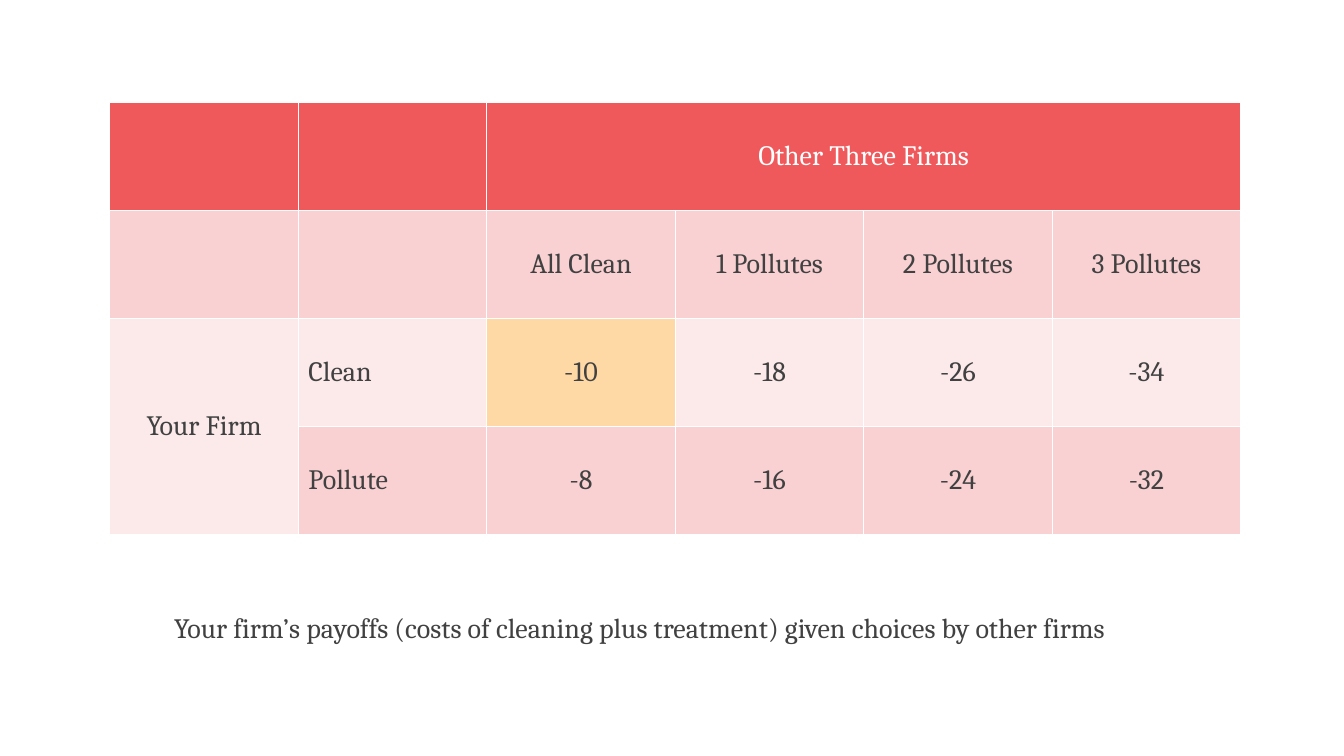
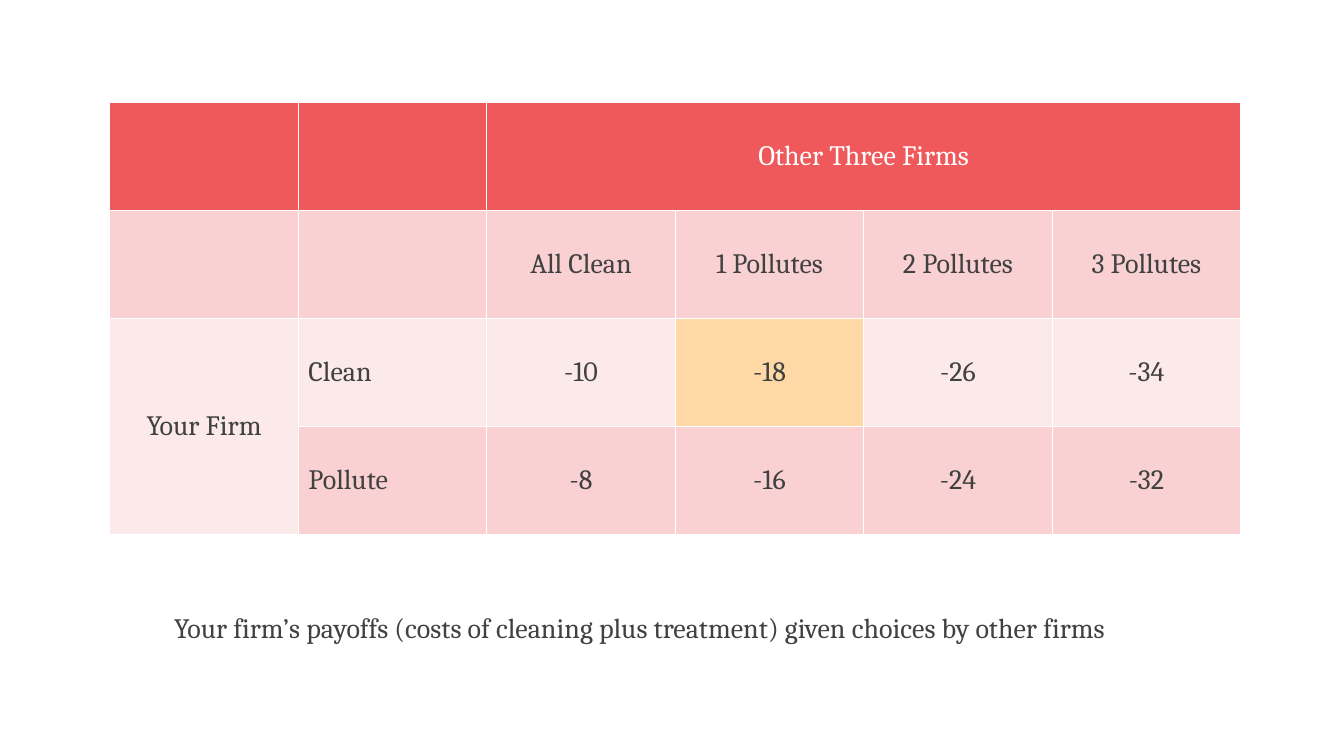
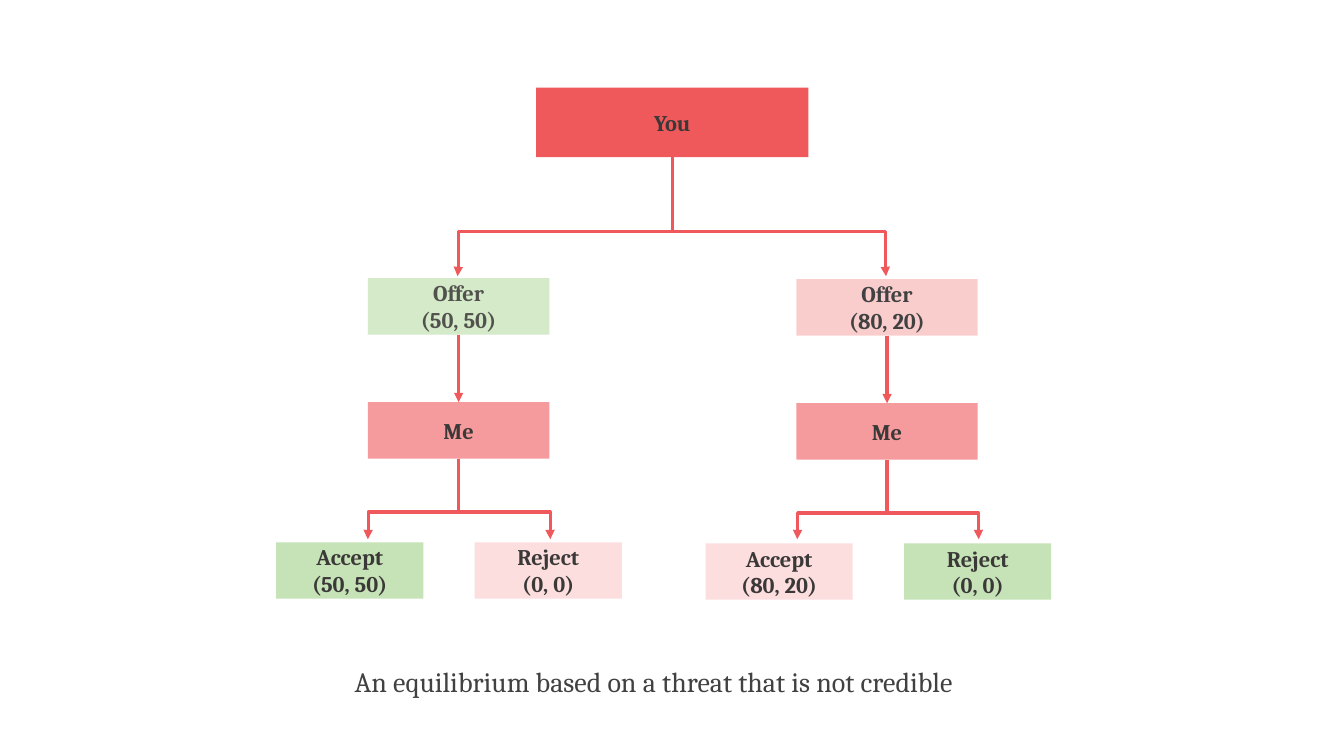
from pptx import Presentation
from pptx.dml.color import RGBColor
from pptx.enum.shapes import MSO_CONNECTOR, MSO_SHAPE
from pptx.enum.text import MSO_ANCHOR, MSO_AUTO_SIZE, PP_ALIGN
from pptx.oxml.ns import qn
from pptx.util import Emu, Pt
from lxml.etree import SubElement

PX = 9144
FONT = "Cambria"
RED = "F0595B"
ROSE = "F69B9D"
PALE_ROSE = "F9D1D2"
PALEST_ROSE = "FCEAEA"
LEAF_ROSE = "FCDEDE"
OFFER_ROSE = "F9BDBD"
GREEN = "C6E3B7"
AMBER = "FED8A5"
TEXT = "414141"
DARK = "3B3838"
OLIVE = "51514D"
WHITE = "FFFFFF"


def color(value):
    return RGBColor.from_string(value)


def write(text_frame, text, size, text_color, align=PP_ALIGN.CENTER, bold=False):
    text_frame.text = text
    for paragraph in text_frame.paragraphs:
        paragraph.alignment = align
        for run in paragraph.runs:
            run.font.name = FONT
            run.font.size = Pt(size)
            run.font.bold = bold
            run.font.color.rgb = color(text_color)


presentation = Presentation()
presentation.slide_width = Emu(12192000)
presentation.slide_height = Emu(750 * PX)
blank_layout = presentation.slide_layouts[6]

payoff_caption = "Your firm’s payoffs (costs of cleaning plus treatment) given choices by other firms"
captions = [
    (payoff_caption, 163, 601, 1034),
    (payoff_caption, 163, 601, 1034),
    ("An equilibrium based on a threat that is not credible", 342, 654, 670),
]
slides = []
for caption, left, top, width in captions:
    slide = presentation.slides.add_slide(blank_layout)
    slides.append(slide)
    text_box = slide.shapes.add_textbox(left * PX, top * PX, width * PX, 44 * PX)
    text_box.text_frame.word_wrap = True
    text_box.text_frame.auto_size = MSO_AUTO_SIZE.SHAPE_TO_FIT_TEXT
    write(text_box.text_frame, caption, 20, TEXT, PP_ALIGN.LEFT)

payoff_rows = [
    ["", "", "Other Three Firms", "", "", ""],
    ["", "", "All Clean", "1 Pollutes", "2 Pollutes", "3 Pollutes"],
    ["Your Firm", "Clean", "-10", "-18", "-26", "-34"],
    ["", "Pollute", "-8", "-16", "-24", "-32"],
]
row_fills = [RED, PALE_ROSE, PALEST_ROSE, PALE_ROSE]

for slide, highlighted in zip(slides, [(2, 2), (2, 3)]):
    table = slide.shapes.add_table(4, 6, 109 * PX, 102 * PX, 1122 * PX, 428 * PX).table
    for column in table.columns:
        column.width = Emu(187 * PX)
    for row in table.rows:
        row.height = Emu(107 * PX)
    table.cell(0, 2).merge(table.cell(0, 5))
    table.cell(2, 0).merge(table.cell(3, 0))
    for row_index, labels in enumerate(payoff_rows):
        for column_index, label in enumerate(labels):
            cell = table.cell(row_index, column_index)
            cell.fill.solid()
            is_highlighted = (row_index, column_index) == highlighted
            cell.fill.fore_color.rgb = color(AMBER if is_highlighted else row_fills[row_index])
            cell.vertical_anchor = MSO_ANCHOR.MIDDLE
            if label:
                align = PP_ALIGN.LEFT if column_index == 1 else PP_ALIGN.CENTER
                write(cell.text_frame, label, 20, TEXT if row_index else WHITE, align)

tree_slide = slides[2]
boxes = {}
for name, text, left, top, width, height, fill, text_color in [
    ("you", "You", 532, 87, 270, 69, RED, DARK),
    ("offer even", "Offer\n(50, 50)", 365, 276, 180, 56, GREEN, OLIVE),
    ("offer uneven", "Offer\n(80, 20)", 790, 277, 180, 56, OFFER_ROSE, TEXT),
    ("me even", "Me", 365, 399, 180, 56, ROSE, DARK),
    ("me uneven", "Me", 790, 400, 180, 56, ROSE, DARK),
    ("accept even", "Accept\n(50, 50)", 274, 538, 146, 56, GREEN, DARK),
    ("reject even", "Reject\n(0, 0)", 471, 538, 146, 56, LEAF_ROSE, DARK),
    ("accept uneven", "Accept\n(80, 20)", 700, 539, 146, 56, LEAF_ROSE, DARK),
    ("reject uneven", "Reject\n(0, 0)", 897, 539, 146, 56, GREEN, DARK),
]:
    box = tree_slide.shapes.add_shape(
        MSO_SHAPE.RECTANGLE, left * PX, top * PX, width * PX, height * PX)
    box.shadow.inherit = False
    box.fill.solid()
    box.fill.fore_color.rgb = color(fill)
    box.line.fill.background()
    if name.startswith("offer"):
        fill_color = box.fill._xPr.find(qn("a:solidFill"))[0]
        SubElement(fill_color, qn("a:alpha"), val="75000")
    box.text_frame.word_wrap = True
    box.text_frame.vertical_anchor = MSO_ANCHOR.MIDDLE
    write(box.text_frame, text, 16, text_color, bold=True)
    boxes[name] = box

links = [("offer even", "me even", 455, 332, 455, 399),
         ("offer uneven", "me uneven", 880, 333, 880, 400)]
for parent, center, bottom, fork, end, ends in [
    ("you", 667, 156, 230, 274, (454, 879)),
    ("me even", 455, 455, 508, 535, (365, 546)),
    ("me uneven", 880, 456, 509, 535, (791, 971)),
]:
    links.append((parent, None, center, bottom, center, fork))
    links += [(None, None, center, fork, end_x, end) for end_x in ends]

for parent, child, start_x, start_y, end_x, end_y in links:
    is_bent = start_x != end_x
    kind = MSO_CONNECTOR.ELBOW if is_bent else MSO_CONNECTOR.STRAIGHT
    connector = tree_slide.shapes.add_connector(
        kind, start_x * PX, start_y * PX, end_x * PX, end_y * PX)
    if parent:
        connector.begin_connect(boxes[parent], 2)
    if child:
        connector.end_connect(boxes[child], 0)
    connector.line.color.rgb = color(RED)
    connector.line.width = Pt(2.25)
    properties = connector._element.spPr
    if is_bent:
        adjustments = properties.find(qn("a:prstGeom")).find(qn("a:avLst"))
        SubElement(adjustments, qn("a:gd"), name="adj1", fmla="val 99700")
    if is_bent or child:
        SubElement(properties.find(qn("a:ln")), qn("a:tailEnd"), type="triangle")
    SubElement(properties, qn("a:effectLst"))

presentation.save("out.pptx")
